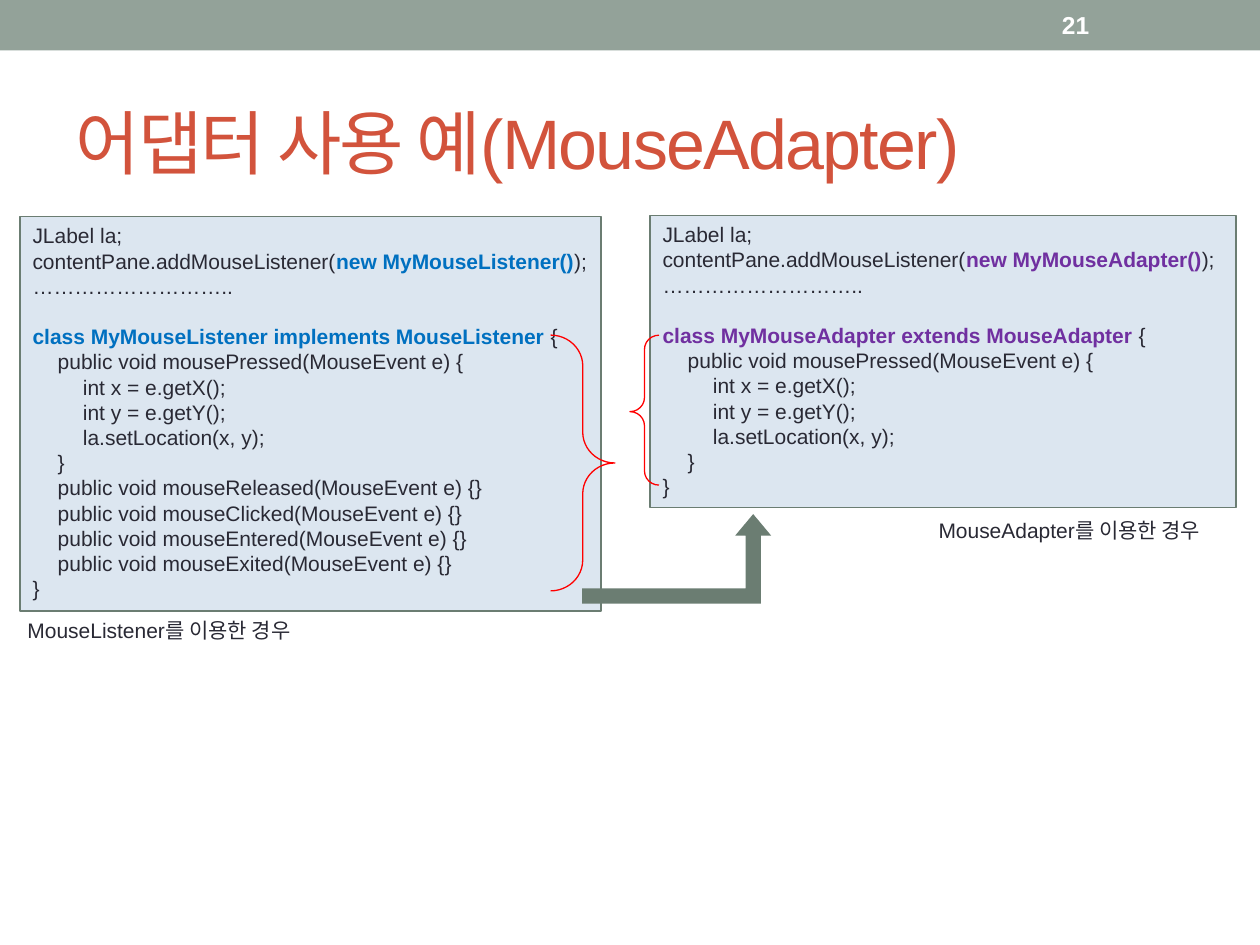
import dataclasses

import pptx
import pptx.dml.color
import pptx.enum.shapes
import pptx.enum.text
import pptx.oxml.ns
import pptx.util
from lxml import etree

Inches = pptx.util.Inches
Pt = pptx.util.Pt
SHAPES = pptx.enum.shapes.MSO_SHAPE
ANCHOR = pptx.enum.text.MSO_ANCHOR
qn = pptx.oxml.ns.qn


@dataclasses.dataclass(frozen=True)
class Theme:
    font: str = "Arial"
    band: str = "93A299"
    title: str = "D2533C"
    ink: str = "292934"
    panel: str = "DCE6F0"
    accent: str = "6B7D72"
    brace: str = "FF0000"
    listener: str = "0070C0"
    adapter: str = "7030A0"
    white: str = "FFFFFF"
    title_size: float = 40
    number_size: float = 14
    code_size: float = 12
    code_line: float = 14.4
    hairline: float = 0.75


THEME = Theme()
TAB_STEP = 0.2

HANDLER = """\tpublic void mousePressed(MouseEvent e) {
\t\tint x = e.getX();
\t\tint y = e.getY();
\t\tla.setLocation(x, y);
\t}"""
EMPTY_HANDLERS = "\n".join(
    f"\tpublic void mouse{event}(MouseEvent e) {{}}"
    for event in ("Released", "Clicked", "Entered", "Exited"))


def rgb(value):
    return pptx.dml.color.RGBColor.from_string(value)


def style(font, size, color, bold=False):
    font.name = THEME.font
    font.size = Pt(size)
    font.bold = bold
    font.color.rgb = rgb(color)


def add_shape(slide, kind, box, fill=None, line=None, adjustments=()):
    shape = slide.shapes.add_shape(kind, *map(Inches, box))
    shape.shadow.inherit = False
    for index, value in enumerate(adjustments):
        shape.adjustments[index] = value
    if fill:
        shape.fill.solid()
        shape.fill.fore_color.rgb = rgb(fill)
    else:
        shape.fill.background()
    if line:
        shape.line.color.rgb = rgb(line)
        shape.line.width = Pt(THEME.hairline)
    else:
        shape.line.fill.background()
    return shape


def add_label(slide, box, text, size, color, bold=False, wrap=False):
    frame = slide.shapes.add_textbox(*map(Inches, box)).text_frame
    frame.word_wrap = wrap
    frame.vertical_anchor = ANCHOR.MIDDLE
    frame.text = text
    style(frame.paragraphs[0].runs[0].font, size, color, bold)


def add_header(slide, box, number):
    """Coloured band with the slide number."""
    left, top, width, height = box
    add_shape(slide, SHAPES.RECTANGLE, box, THEME.band)
    add_label(slide, (left + width - 1.67, top + 0.02, 1.17, height - 0.04),
              number, THEME.number_size, THEME.white, bold=True, wrap=True)


def add_title(slide, box, text):
    title = slide.shapes.title
    title.left, title.top, title.width, title.height = map(Inches, box)
    frame = title.text_frame
    frame.text = text
    frame.word_wrap = True
    frame.auto_size = pptx.enum.text.MSO_AUTO_SIZE.NONE
    frame.vertical_anchor = ANCHOR.MIDDLE
    heading = frame.paragraphs[0]
    heading.alignment = pptx.enum.text.PP_ALIGN.LEFT
    style(heading.runs[0].font, THEME.title_size, THEME.title)
    heading.runs[0].font._element.set("spc", "-100")


def add_code(slide, box, sections, highlights, color):
    """Code panel: sections stand one line apart, highlights are bold."""
    frame = add_shape(slide, SHAPES.RECTANGLE, box,
                      THEME.panel, THEME.accent).text_frame
    frame.word_wrap = True
    frame.vertical_anchor = ANCHOR.TOP
    frame.margin_right = Inches(0.03)
    lines = [(line, section > 0 and row == 0)
             for section, code in enumerate(sections)
             for row, line in enumerate(code.split("\n"))]
    for index, (line, starts_section) in enumerate(lines):
        paragraph = frame.add_paragraph() if index else frame.paragraphs[0]
        paragraph.alignment = pptx.enum.text.PP_ALIGN.LEFT
        paragraph.line_spacing = Pt(THEME.code_line)
        if starts_section:
            paragraph.space_before = Pt(THEME.code_line)
        tabs = etree.SubElement(paragraph._p.get_or_add_pPr(), qn("a:tabLst"))
        for step in (1, 2):
            etree.SubElement(tabs, qn("a:tab"), algn="l",
                             pos=str(Inches(step * TAB_STEP)))
        marked = next((h for h in highlights if h in line), None)
        before, middle, after = line.partition(marked) if marked else (line, "", "")
        for text, strong in ((before, False), (middle, True), (after, False)):
            if text:
                run = paragraph.add_run()
                run.text = text
                style(run.font, THEME.code_size,
                      color if strong else THEME.ink, strong)


def add_example(slide, box, name, declaration, body, color, caption, caption_box):
    """One code panel with its caption."""
    setup = (f"JLabel la;\ncontentPane.addMouseListener(new {name}());\n"
             "………………………..")
    add_code(slide, box, (setup, f"{declaration} {{\n{body}\n}}"),
             (f"new {name}()", declaration), color)
    add_label(slide, caption_box, caption, THEME.code_size, THEME.ink)


def add_comparison(slide):
    """Both examples, the braces around their methods and the linking arrow."""
    add_example(slide, (0.16, 1.72, 4.61, 3.13), "MyMouseListener",
                "class MyMouseListener implements MouseListener",
                f"{HANDLER}\n{EMPTY_HANDLERS}", THEME.listener,
                "MouseListener를 이용한 경우", (0.12, 4.85, 2.44, 0.3))
    add_example(slide, (5.16, 1.71, 4.65, 2.32), "MyMouseAdapter",
                "class MyMouseAdapter extends MouseAdapter",
                HANDLER, THEME.adapter,
                "MouseAdapter를 이용한 경우", (7.35, 4.06, 2.45, 0.3))
    for box, rotation, adjustments in (
            ((4.37, 2.66, 0.51, 2.03), 0, (0.48, 0.5)),
            ((5, 2.66, 0.23, 1.19), 180, (0.49, 0.49))):
        brace = add_shape(slide, SHAPES.RIGHT_BRACE, box, line=THEME.brace,
                          adjustments=adjustments)
        brace.rotation = rotation
    add_shape(slide, SHAPES.BENT_UP_ARROW, (4.62, 4.08, 1.5, 0.71),
              THEME.accent, adjustments=(0.17, 0.2, 0.24))


def main():
    deck = pptx.Presentation()
    deck.slide_width, deck.slide_height = Inches(10), Inches(7.5)
    slide = deck.slides.add_slide(deck.slide_layouts[5])
    add_header(slide, (0, 0, 10, 0.4), "21")
    add_title(slide, (0.5, 0.58, 9, 1.08), "어댑터 사용 예(MouseAdapter)")
    add_comparison(slide)
    deck.save("out.pptx")


if __name__ == "__main__":
    main()
